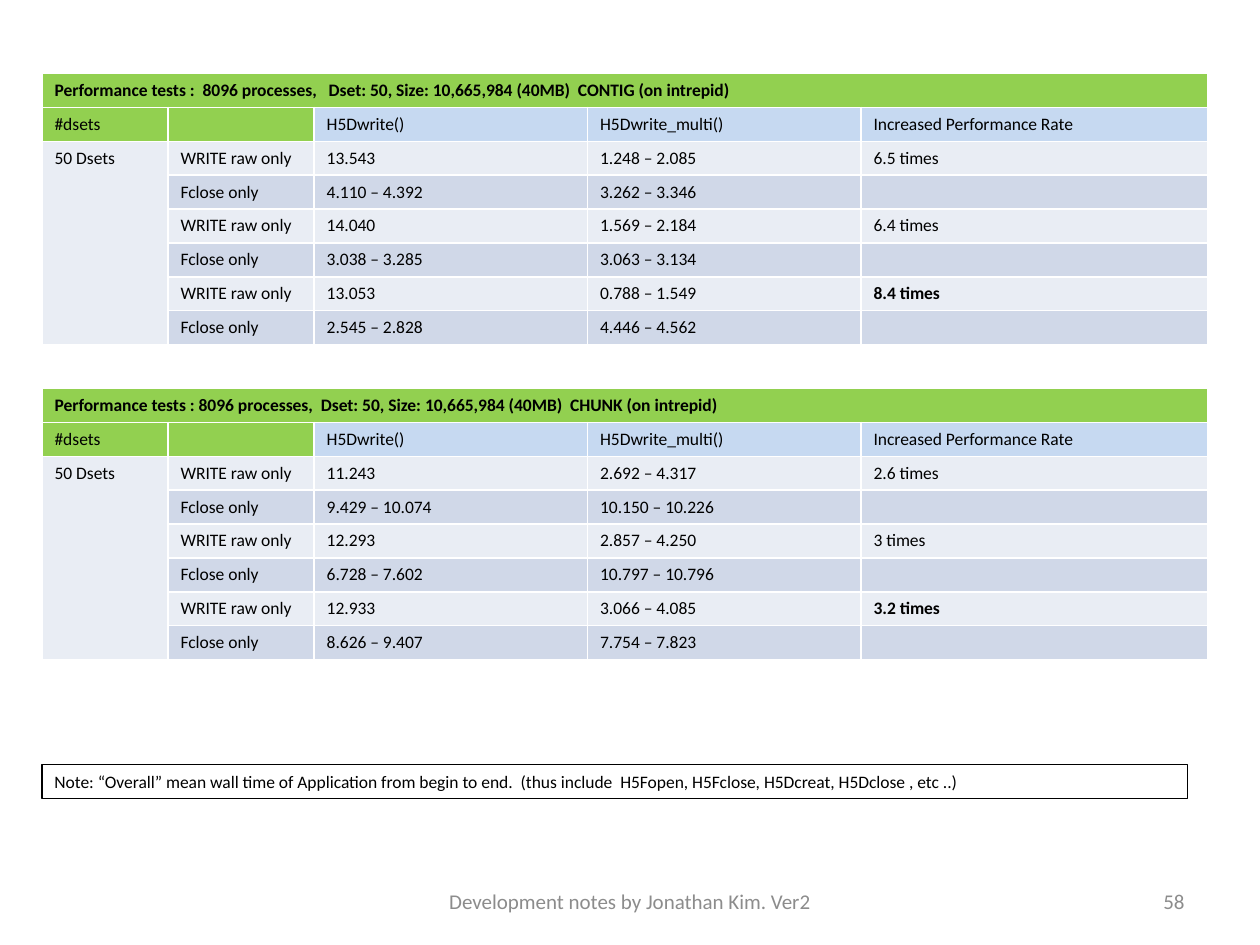
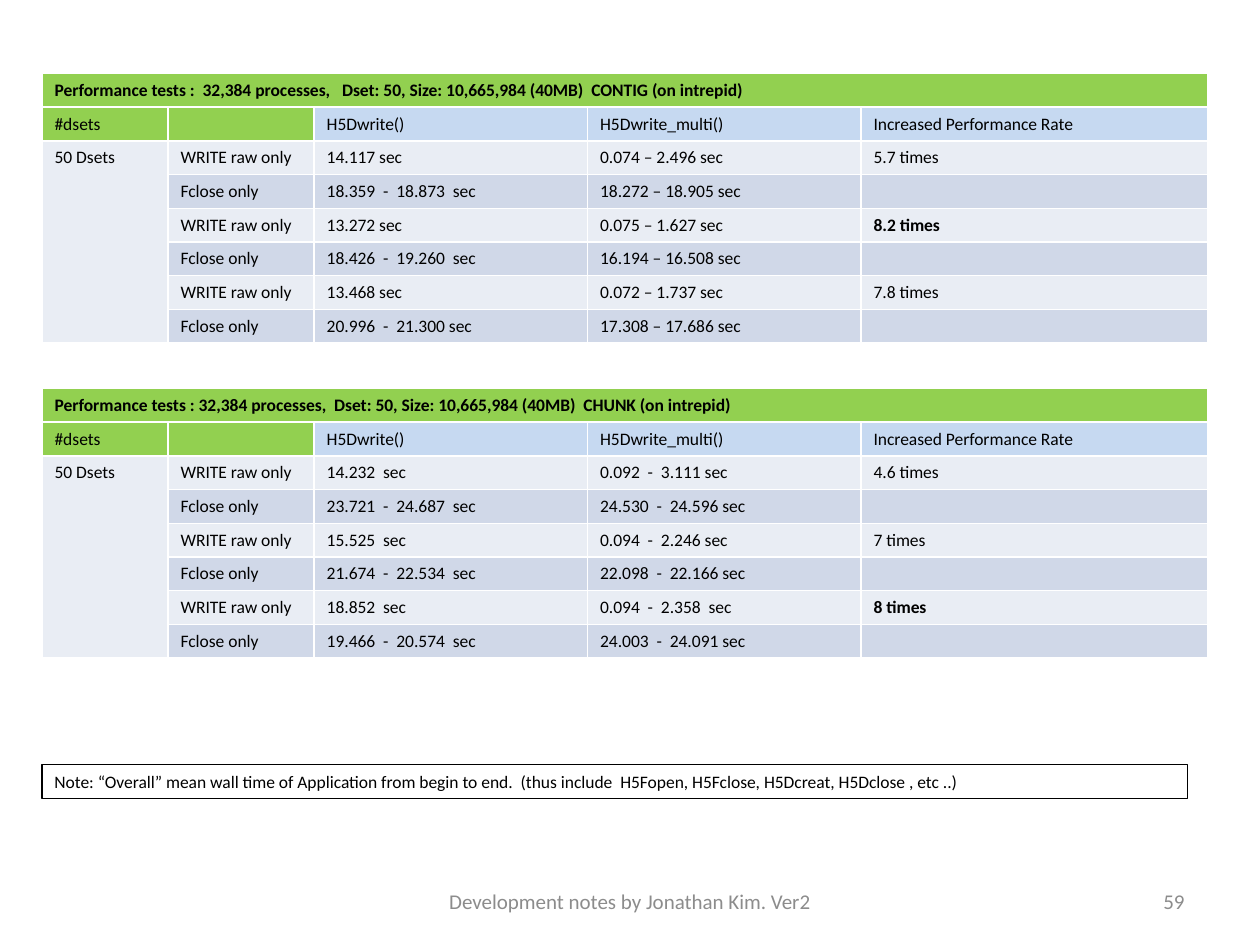
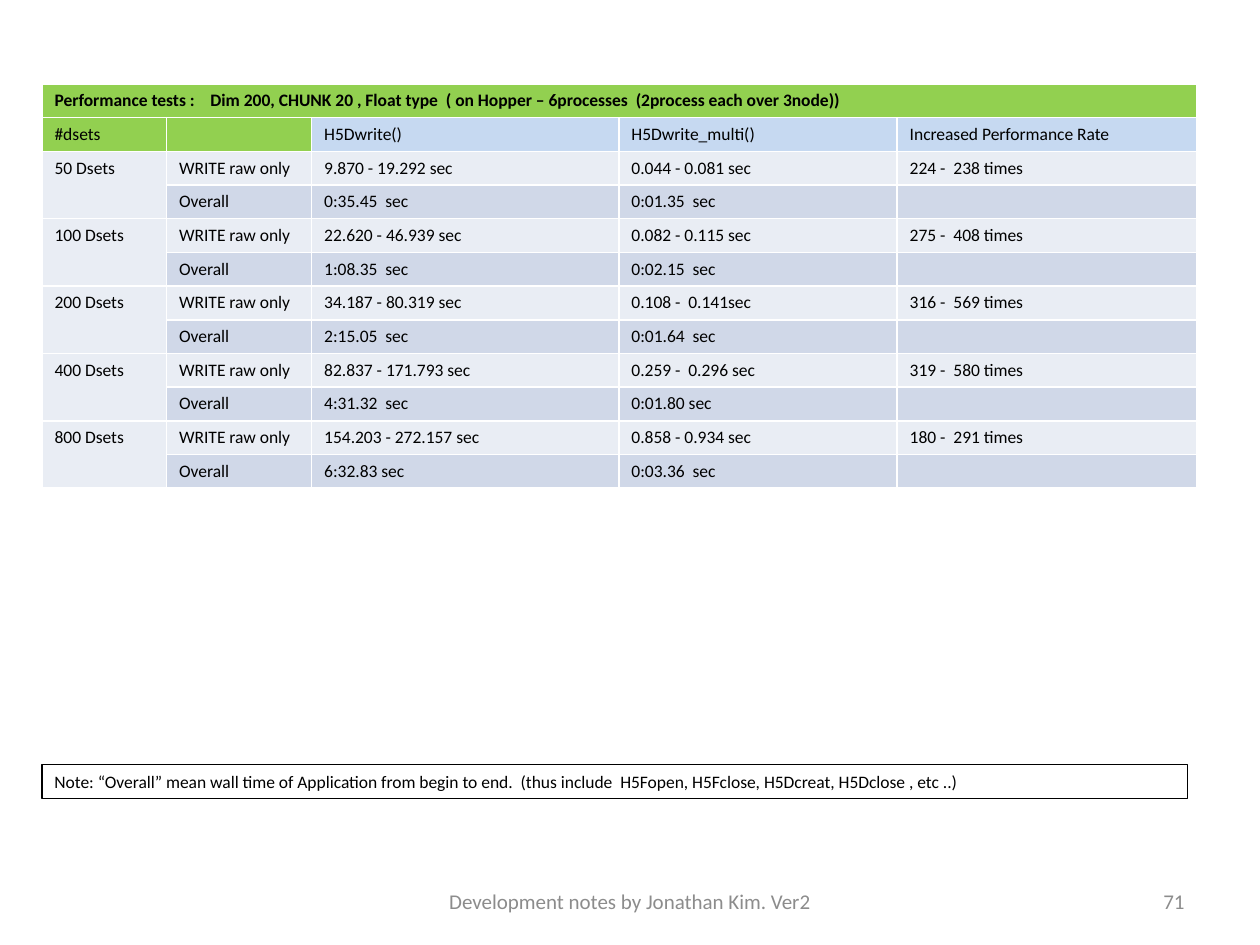
import pptx
import pptx.dml.color
import pptx.enum.text
import pptx.oxml.ns
import pptx.util
import lxml.etree

Pt = pptx.util.Pt
RGBColor = pptx.dml.color.RGBColor
Align = pptx.enum.text.PP_ALIGN
Anchor = pptx.enum.text.MSO_ANCHOR

GREEN = RGBColor(0x92, 0xD0, 0x50)
BLUE = RGBColor(0xC6, 0xD9, 0xF1)
LIGHT_BAND = RGBColor(0xE9, 0xED, 0xF4)
DARK_BAND = RGBColor(0xD0, 0xD8, 0xE8)
BLACK = RGBColor(0, 0, 0)
GRAY = RGBColor(0x8C, 0x8C, 0x8C)
FONT = "Calibri"

HEADINGS = ["#dsets", "", "H5Dwrite()", "H5Dwrite_multi()", "Increased Performance Rate"]
HEADING_FILLS = [GREEN, GREEN, BLUE, BLUE, BLUE]
NOTE = ("Note: “Overall” mean wall time of Application from begin to end.  "
        "(thus include  H5Fopen, H5Fclose, H5Dcreat, H5Dclose , etc ..)")
FOOTER = "Development notes by Jonathan Kim. Ver2"

FCLOSE_STEPS = ("WRITE raw only", "Fclose only")
OVERALL_STEPS = ("WRITE raw only", "Overall")
LARGE_COLUMNS = [72, 83.5, 156.25, 156.25, 198]
SMALL_COLUMNS = [71.2, 82.9, 175.6, 159, 171.3]
LEFT, UPPER, LOWER, SMALL_TOP, ROW_HEIGHT = 24, 42, 222, 48, 19.2

SLIDES = [
    {"number": "58", "tests": [
        {"title": "Performance tests :  8096 processes,   Dset: 50, Size: 10,665,984 (40MB)  CONTIG (on intrepid)",
         "top": UPPER, "columns": LARGE_COLUMNS, "steps": FCLOSE_STEPS, "best": "8.4 times",
         "groups": [("50 Dsets", [
             ("13.543", "1.248 – 2.085", "6.5 times"),
             ("4.110 – 4.392", "3.262 – 3.346", ""),
             ("14.040", "1.569 – 2.184", "6.4 times"),
             ("3.038 – 3.285", "3.063 – 3.134", ""),
             ("13.053", "0.788 – 1.549", "8.4 times"),
             ("2.545 – 2.828", "4.446 – 4.562", "")])]},
        {"title": "Performance tests : 8096 processes,  Dset: 50, Size: 10,665,984 (40MB)  CHUNK (on intrepid)",
         "top": LOWER, "columns": LARGE_COLUMNS, "steps": FCLOSE_STEPS, "best": "3.2 times",
         "groups": [("50 Dsets", [
             ("11.243", "2.692 – 4.317", "2.6 times"),
             ("9.429 – 10.074", "10.150 – 10.226", ""),
             ("12.293", "2.857 – 4.250", "3 times"),
             ("6.728 – 7.602", "10.797 – 10.796", ""),
             ("12.933", "3.066 – 4.085", "3.2 times"),
             ("8.626 – 9.407", "7.754 – 7.823", "")])]}]},
    {"number": "59", "tests": [
        {"title": "Performance tests :  32,384 processes,   Dset: 50, Size: 10,665,984 (40MB)  CONTIG (on intrepid)",
         "top": UPPER, "columns": LARGE_COLUMNS, "steps": FCLOSE_STEPS, "best": "8.2 times",
         "groups": [("50 Dsets", [
             ("14.117 sec", "0.074 – 2.496 sec", "5.7 times"),
             ("18.359  -  18.873  sec", "18.272 – 18.905 sec", ""),
             ("13.272 sec", "0.075 – 1.627 sec", "8.2 times"),
             ("18.426  -  19.260  sec", "16.194 – 16.508 sec", ""),
             ("13.468 sec", "0.072 – 1.737 sec", "7.8 times"),
             ("20.996  -  21.300 sec", "17.308 – 17.686 sec", "")])]},
        {"title": "Performance tests : 32,384 processes,  Dset: 50, Size: 10,665,984 (40MB)  CHUNK (on intrepid)",
         "top": LOWER, "columns": LARGE_COLUMNS, "steps": FCLOSE_STEPS, "best": "8 times",
         "groups": [("50 Dsets", [
             ("14.232  sec", "0.092  -  3.111 sec", "4.6 times"),
             ("23.721  -  24.687  sec", "24.530  -  24.596 sec", ""),
             ("15.525  sec", "0.094  -  2.246 sec", "7 times"),
             ("21.674  -  22.534  sec", "22.098  -  22.166 sec", ""),
             ("18.852  sec", "0.094  -  2.358  sec", "8 times"),
             ("19.466  -  20.574  sec", "24.003  -  24.091 sec", "")])]}]},
    {"number": "71", "tests": [
        {"title": "Performance tests :    Dim 200, CHUNK 20 , Float type  "
                  "( on Hopper – 6processes  (2process each over 3node))",
         "top": SMALL_TOP, "columns": SMALL_COLUMNS, "steps": OVERALL_STEPS, "best": None,
         "groups": [
             ("50 Dsets", [("9.870 - 19.292 sec", "0.044 - 0.081 sec", "224 -  238 times"),
                           ("0:35.45  sec", "0:01.35  sec", "")]),
             ("100 Dsets", [("22.620 - 46.939 sec", "0.082 - 0.115 sec", "275 -  408 times"),
                            ("1:08.35  sec", "0:02.15  sec", "")]),
             ("200 Dsets", [("34.187 - 80.319 sec", "0.108 -  0.141sec", "316 -  569 times"),
                            ("2:15.05  sec", "0:01.64  sec", "")]),
             ("400 Dsets", [("82.837 - 171.793 sec", "0.259 -  0.296 sec", "319 -  580 times"),
                            ("4:31.32  sec", "0:01.80 sec", "")]),
             ("800 Dsets", [("154.203 - 272.157 sec", "0.858 - 0.934 sec", "180 -  291 times"),
                            ("6:32.83 sec", "0:03.36  sec", "")])]}]},
]


def write(frame, text, size=10, color=BLACK, bold=False, align=Align.LEFT):
    paragraph = frame.paragraphs[0]
    paragraph.alignment = align
    if not text:
        lxml.etree.SubElement(paragraph._p, pptx.oxml.ns.qn("a:endParaRPr"), sz=str(size * 100))
        return
    run = paragraph.add_run()
    run.text = text
    run.font.name = FONT
    run.font.size = Pt(size)
    run.font.bold = bold
    run.font.color.rgb = color


def add_label(slide, text, left, top, width, height, **style):
    label = slide.shapes.add_textbox(Pt(left), Pt(top), Pt(width), Pt(height))
    label.text_frame.word_wrap = True
    label.text_frame.vertical_anchor = Anchor.MIDDLE
    write(label.text_frame, text, **style)
    return label


def add_test(slide, test):
    lines = [[test["title"], "", "", "", ""], HEADINGS]
    fills = [[GREEN] * 5, HEADING_FILLS]
    spans = []
    for dsets, timings in test["groups"]:
        spans.append((len(lines), len(lines) + len(timings) - 1))
        for index, timing in enumerate(timings):
            band = DARK_BAND if index % 2 else LIGHT_BAND
            lines.append(["" if index else dsets, test["steps"][index % 2], *timing])
            fills.append([LIGHT_BAND] + [band] * 4)

    columns = test["columns"]
    grid = slide.shapes.add_table(len(lines), len(columns), Pt(LEFT), Pt(test["top"]),
                                  Pt(sum(columns)), Pt(ROW_HEIGHT * len(lines))).table
    for column, width in zip(grid.columns, columns):
        column.width = Pt(width)
    for row, texts, colors in zip(grid.rows, lines, fills):
        row.height = Pt(ROW_HEIGHT)
        for cell, text, color in zip(row.cells, texts, colors):
            cell.fill.solid()
            cell.fill.fore_color.rgb = color
            write(cell.text_frame, text, bold=text in (test["title"], test["best"]))
    grid.cell(0, 0).merge(grid.cell(0, len(columns) - 1))
    for first, last in spans:
        grid.cell(first, 0).merge(grid.cell(last, 0))


def add_note(slide):
    note = add_label(slide, NOTE, LEFT, 437, 654.5, 19.4)
    note.text_frame.vertical_anchor = Anchor.TOP
    note.text_frame.auto_size = pptx.enum.text.MSO_AUTO_SIZE.SHAPE_TO_FIT_TEXT
    note.line.color.rgb = BLACK
    note.line.width = Pt(0.75)


def add_footer(slide, number):
    add_label(slide, FOOTER, 246, 500.5, 228, 28.75, size=12, color=GRAY, align=Align.CENTER)
    add_label(slide, number, 516, 500.5, 168, 28.75, size=12, color=GRAY, align=Align.RIGHT)


def main():
    deck = pptx.Presentation()
    deck.slide_width, deck.slide_height = Pt(720), Pt(540)
    for content in SLIDES:
        slide = deck.slides.add_slide(deck.slide_layouts[6])
        for test in content["tests"]:
            add_test(slide, test)
        add_note(slide)
        add_footer(slide, content["number"])
    deck.save("out.pptx")


if __name__ == "__main__":
    main()
